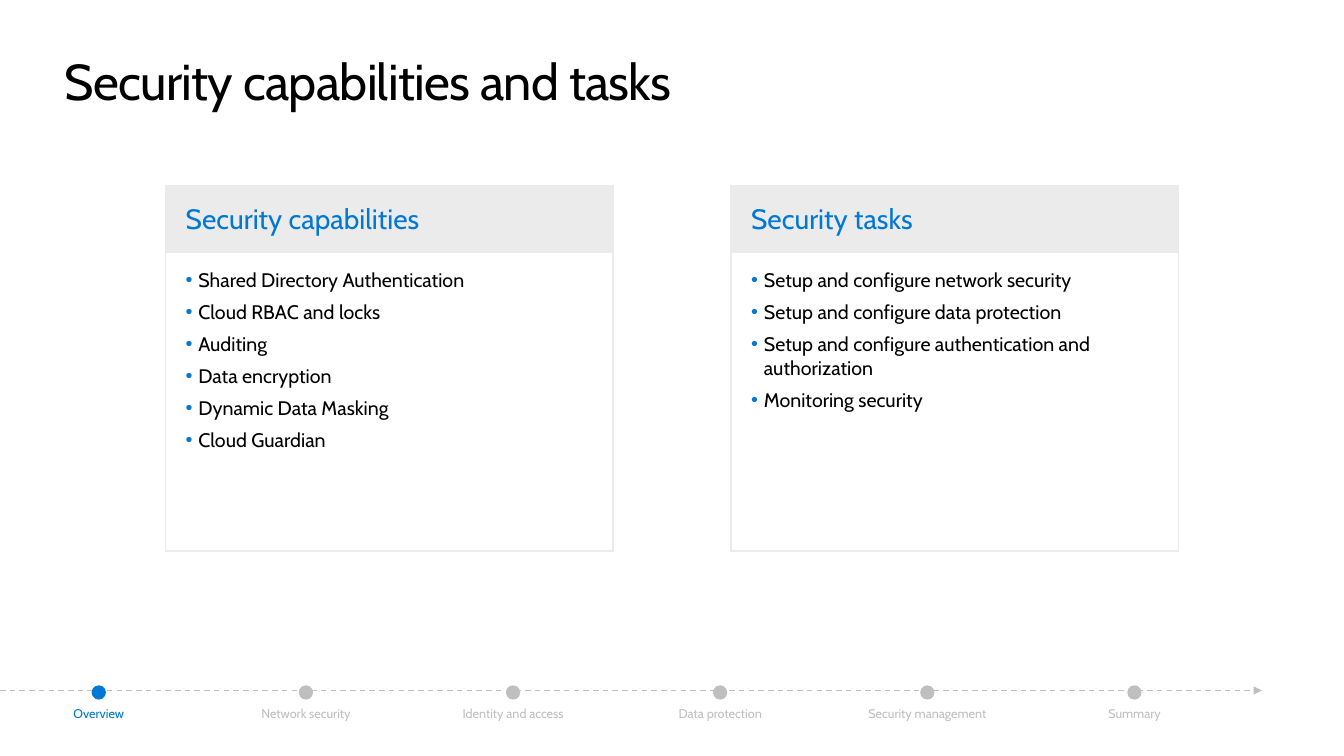
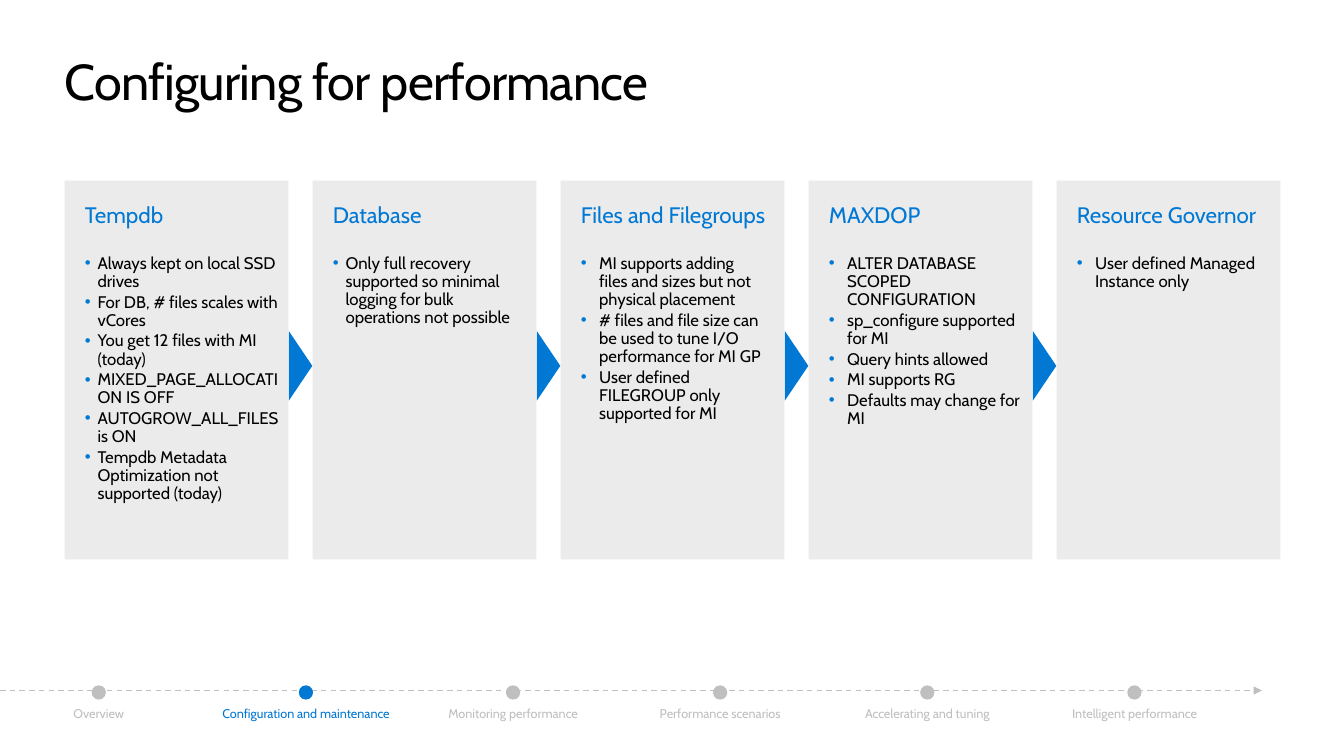
from lxml.etree import SubElement
from pptx import Presentation
from pptx.dml.color import RGBColor
from pptx.enum.dml import MSO_LINE as Dash
from pptx.enum.shapes import MSO_CONNECTOR as Conn, MSO_SHAPE as Shape
from pptx.enum.text import MSO_ANCHOR as Anchor, PP_ALIGN as Align
from pptx.oxml.ns import qn
from pptx.util import Cm, Pt

FONT = "Cabin"
BLUE, BLACK, GREY, PALE, WHITE = "0078D4", "000000", "BFBFBF", "EBEBEB", "FFFFFF"

# Text styles: font and paragraph values, then colour, tracking and bullet indent
TITLE = dict(font=dict(size=Pt(36)), para={}, ink=BLACK, track=-50)
HEAD = dict(font=dict(size=Pt(20)), para={}, ink=BLUE)
ITEM = dict(font=dict(size=Pt(14)), para=dict(space_after=Pt(6)), ink=BLACK, hang=0.32)
TOPIC = dict(font=dict(size=Pt(16)), para=dict(space_after=Pt(19.4)), ink=BLUE)
POINT = dict(font=dict(size=Pt(12)), para=dict(line_spacing=0.9, space_after=Pt(1.8)),
             ink=BLACK)
STEP = dict(font=dict(size=Pt(9)), para=dict(alignment=Align.CENTER))

CARD_PAD = (0.51, 0.41, 0.51, 0.41)
COL_PAD = (0.51, 0.51, 0.25, 0.25)

CARDS = [
    ("Security capabilities", [
        "Shared Directory Authentication", "Cloud RBAC and locks", "Auditing",
        "Data encryption", "Dynamic Data Masking", "Cloud Guardian"]),
    ("Security tasks", [
        "Setup and configure network security", "Setup and configure data protection",
        "Setup and configure authentication and authorization", "Monitoring security"]),
]
SAFE_STEPS = ["Overview", "Network security", "Identity and access", "Data protection",
              "Security management", "Summary"]

# Topic, bullet indent in cm, points
COLUMNS = [
    ("Tempdb", 0.32, [
        "Always kept on local SSD drives", "For DB, # files scales with vCores",
        "You get 12 files with MI (today)", "MIXED_PAGE_ALLOCATION IS OFF",
        "AUTOGROW_ALL_FILES is ON", "Tempdb Metadata Optimization not supported (today)"]),
    ("Database", 0.32, [
        "Only full recovery supported so minimal logging for bulk operations not possible"]),
    ("Files and Filegroups", 0.46, [
        "MI supports adding\nfiles and sizes but not physical placement",
        "# files and file size can be used to tune I/O performance for MI GP",
        "User defined FILEGROUP only supported for MI"]),
    ("MAXDOP", 0.46, [
        "ALTER DATABASE SCOPED CONFIGURATION", "sp_configure supported for MI",
        "Query hints allowed", "MI supports RG", "Defaults may change for MI"]),
    ("Resource Governor", 0.46, ["User defined Managed Instance only"]),
]
TUNE_STEPS = ["Overview", "Configuration and maintenance", "Monitoring performance",
              "Performance scenarios", "Accelerating and tuning", "Intelligent performance"]


def rgb(code):
    return RGBColor.from_string(code)


def assign(target, values):
    for name, value in values.items():
        setattr(target, name, value)


def bullet(para, hang):
    props = para._p.get_or_add_pPr()
    props.set("marL", str(Cm(hang)))
    props.set("indent", str(-Cm(hang)))
    SubElement(SubElement(props, qn("a:buClr")), qn("a:srgbClr"), val=BLUE)
    SubElement(props, qn("a:buFont"), typeface="Arial")
    SubElement(props, qn("a:buChar"), char="•")


def write(shape, lines, pad=(0, 0, 0, 0), anchor=Anchor.TOP):
    """Fill a shape with (text, style) paragraphs."""
    frame = shape.text_frame
    left, top, right, bottom = map(Cm, pad)
    assign(frame, dict(word_wrap=True, vertical_anchor=anchor, margin_left=left,
                       margin_top=top, margin_right=right, margin_bottom=bottom))
    for i, (text, style) in enumerate(lines):
        para = frame.add_paragraph() if i else frame.paragraphs[0]
        para.text = text
        assign(para, dict(alignment=Align.LEFT) | style["para"])
        if "hang" in style:
            bullet(para, style["hang"])
        for run in para.runs:
            assign(run.font, dict(name=FONT) | style["font"])
            run.font.color.rgb = rgb(style["ink"])
            if "track" in style:
                run._r.get_or_add_rPr().set("spc", str(style["track"]))
        for gap in para._p.findall(qn("a:br")):
            size = style["font"]["size"].pt
            SubElement(gap, qn("a:rPr"), sz=str(int(size * 100)))


def label(slide, box, text, style):
    write(slide.shapes.add_textbox(*map(Cm, box)), [(text, style)])


def block(slide, kind, box, fill, edge=None):
    shape = slide.shapes.add_shape(kind, *map(Cm, box))
    shape.shadow.inherit = False
    shape.fill.solid()
    shape.fill.fore_color.rgb = rgb(fill)
    if edge:
        shape.line.color.rgb = rgb(edge)
        shape.line.width = Pt(1)
    else:
        shape.line.fill.background()
    return shape


def axis(slide, y, end):
    """Draw the dashed arrow behind the step dots."""
    line = slide.shapes.add_connector(Conn.STRAIGHT, 0, Cm(y), Cm(end), Cm(y))
    line.line.color.rgb = rgb(GREY)
    assign(line.line, dict(width=Pt(1), dash_style=Dash.DASH))
    SubElement(line.line._get_or_add_ln(), qn("a:tailEnd"), type="triangle")
    SubElement(line._element.spPr, qn("a:effectLst"))


def track(slide, steps, now):
    """Draw the progress footer with step number now lit."""
    dot, wide = 0.36, 4.8
    axis(slide, 17.4, 31.8)
    for i, step in enumerate(steps):
        mid = 2.49 + 5.22 * i
        ink = BLUE if i == now else GREY
        block(slide, Shape.OVAL, (mid - dot / 2, 17.27, dot, dot), ink)
        label(slide, (mid - wide / 2, 17.78, wide, 0.38), step, STEP | dict(ink=ink))


def page(deck, title, steps, now):
    slide = deck.slides.add_slide(deck.slide_layouts[6])
    label(slide, (1.63, 1.27, 30.6, 1.55), title, TITLE)
    track(slide, steps, now)
    return slide


def card(slide, left, head, items):
    wide, top, tall = 11.28, 4.67, 1.68
    band = block(slide, Shape.RECTANGLE, (left, top, wide, tall), PALE, PALE)
    write(band, [(head, HEAD)], CARD_PAD, Anchor.MIDDLE)
    body = block(slide, Shape.RECTANGLE, (left, top + tall, wide, 7.54), WHITE, PALE)
    write(body, [(item, ITEM) for item in items], CARD_PAD)


def column(slide, box, topic, hang, points):
    style = POINT | dict(hang=hang)
    lines = [(topic, TOPIC)] + [(point, style) for point in points]
    write(block(slide, Shape.RECTANGLE, box, PALE), lines, COL_PAD)


def wedge(slide, mid, y, base, depth):
    """Draw a triangle that points right, centred on (mid, y)."""
    box = (mid - base / 2, y - depth / 2, base, depth)
    block(slide, Shape.ISOSCELES_TRIANGLE, box, BLUE).rotation = 90


def main():
    deck = Presentation()
    assign(deck, dict(slide_width=Cm(33.87), slide_height=Cm(19.05)))

    safe = page(deck, "Security capabilities and tasks", SAFE_STEPS, 0)
    for i, (head, items) in enumerate(CARDS):
        card(safe, 4.17 + 14.25 * i, head, items)

    tune = page(deck, "Configuring for performance", TUNE_STEPS, 1)
    wide, gap = 5.64, 0.61
    for i, (topic, hang, points) in enumerate(COLUMNS):
        left = 1.63 + (wide + gap) * i
        column(tune, (left, 4.55, wide, 9.55), topic, hang, points)
        if i:
            wedge(tune, left - gap / 2, 9.22, 1.75, 0.59)

    deck.save("out.pptx")


if __name__ == "__main__":
    main()
